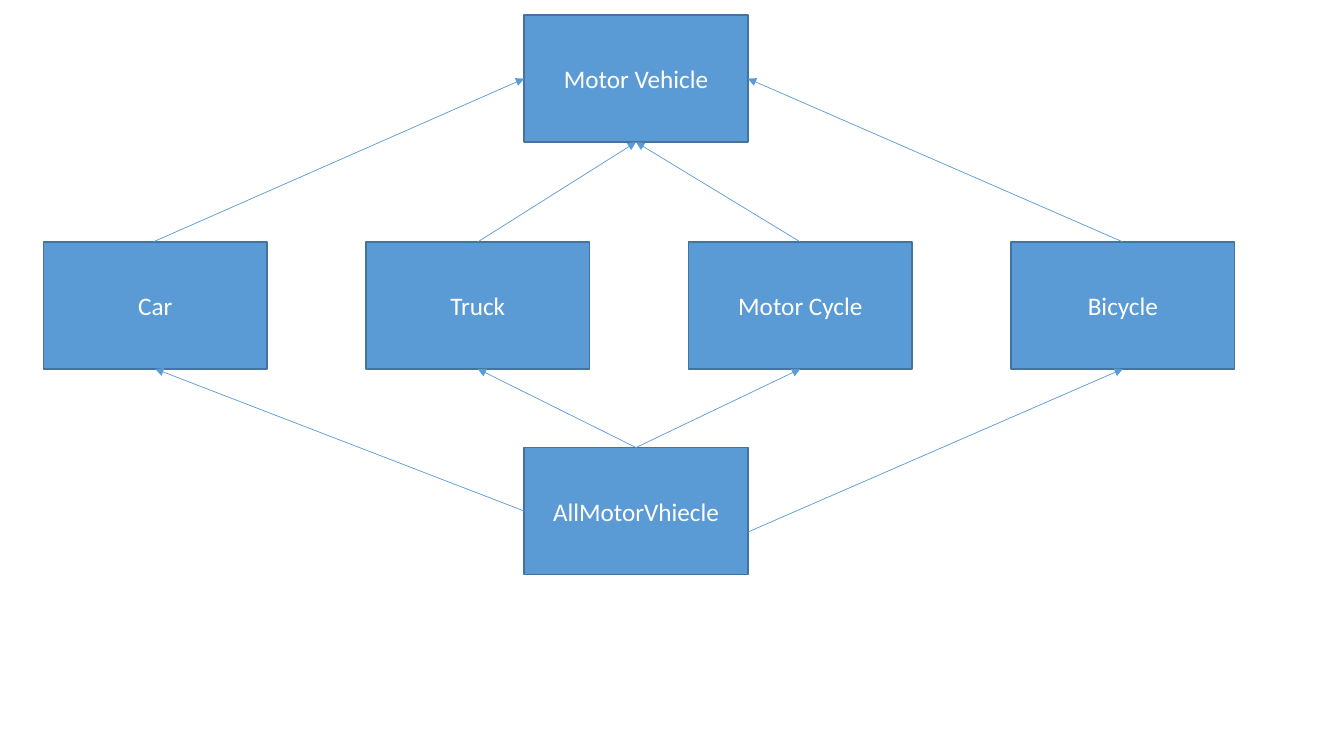
"""Draw the motor vehicle class diagram."""
from dataclasses import dataclass
from enum import IntEnum

from lxml import etree
from pptx import Presentation
from pptx import util as u
from pptx.dml.color import RGBColor
from pptx.enum import shapes, text
from pptx.oxml import ns

WIDE, HIGH = 159.84, 90.72
LEFT, STEP, MID = 30.96, 230.4, 374.4
BLUE, EDGE, WHITE = "5B9BD5", "43739E", "FFFFFF"
FONT = {"name": "Calibri", "size": u.Pt(18)}
FRAME = {"word_wrap": True, "vertical_anchor": text.MSO_ANCHOR.MIDDLE}


class Side(IntEnum):
    """Connection sites of a rectangle."""
    TOP = 0
    LEFT = 1
    BASE = 2
    RIGHT = 3


@dataclass(frozen=True)
class Box:
    """A class box, placed in points."""
    name: str
    x: float
    y: float

    def site(self, side: Side) -> tuple[float, float]:
        """Return the middle of one side."""
        fx, fy = ((0.5, 0), (0, 0.5), (0.5, 1), (1, 0.5))[side]
        return self.x + fx * WIDE, self.y + fy * HIGH


@dataclass(frozen=True)
class Link:
    """An arrow between two box sides, its start moved by dx and dy."""
    tail: Box
    out: Side
    head: Box
    into: Side
    dx: float = 0
    dy: float = 0


def paint(color, code: str) -> None:
    """Set a colour from a hex string."""
    color.rgb = RGBColor.from_string(code)


def style(item, values: dict) -> None:
    """Set attributes from a dict of format values."""
    for key, value in values.items():
        setattr(item, key, value)


def draw_box(slide, box: Box):
    """Draw one class box and return its shape."""
    shape = slide.shapes.add_shape(
        shapes.MSO_SHAPE.RECTANGLE, *map(u.Pt, (box.x, box.y, WIDE, HIGH)))
    shape.shadow.inherit = False
    shape.fill.solid()
    paint(shape.fill.fore_color, BLUE)
    paint(shape.line.color, EDGE)
    shape.line.width = u.Pt(1)
    frame = shape.text_frame
    style(frame, FRAME)
    para = frame.paragraphs[0]
    para.alignment = text.PP_ALIGN.CENTER
    run = para.add_run()
    run.text = box.name
    style(run.font, FONT)
    paint(run.font.color, WHITE)
    return shape


def draw_link(slide, link: Link, drawn: dict) -> None:
    """Draw one arrow and glue its ends that sit on a site."""
    x, y = link.tail.site(link.out)
    ends = (x + link.dx, y + link.dy, *link.head.site(link.into))
    line = slide.shapes.add_connector(
        shapes.MSO_CONNECTOR.STRAIGHT, *map(u.Pt, ends))
    if not (link.dx or link.dy):
        line.begin_connect(drawn[link.tail], link.out)
    line.end_connect(drawn[link.head], link.into)
    paint(line.line.color, BLUE)
    line.line.width = u.Pt(0.5)
    tip = etree.SubElement(line.line._get_or_add_ln(), ns.qn("a:tailEnd"))
    tip.set("type", "triangle")
    etree.SubElement(line._element.spPr, ns.qn("a:effectLst"))


def main() -> None:
    """Build and save the slide."""
    deck = Presentation()
    style(deck, {"slide_width": u.Pt(960), "slide_height": u.Pt(540)})
    slide = deck.slides.add_slide(deck.slide_layouts[6])

    base = Box("Motor Vehicle", MID, 10.8)
    kinds = [Box(name, LEFT + i * STEP, 172.8) for i, name in
             enumerate(("Car", "Truck", "Motor Cycle", "Bicycle"))]
    last = Box("AllMotorVhiecle", MID, 319.68)
    drawn = {box: draw_box(slide, box) for box in (base, *kinds, last)}

    into = (Side.LEFT, Side.BASE, Side.BASE, Side.RIGHT)
    out = (Side.LEFT, Side.TOP, Side.TOP, Side.RIGHT)
    shift = (-1.5, 0, 0, 0)
    drop = (0, 0, 0, 15)
    ups = [Link(kind, Side.TOP, base, side, dx=dx)
           for kind, side, dx in zip(kinds, into, shift)]
    downs = [Link(last, side, kind, Side.BASE, dy=dy)
             for kind, side, dy in zip(kinds, out, drop)]
    for link in ups + downs:
        draw_link(slide, link, drawn)
    deck.save("out.pptx")


main()
